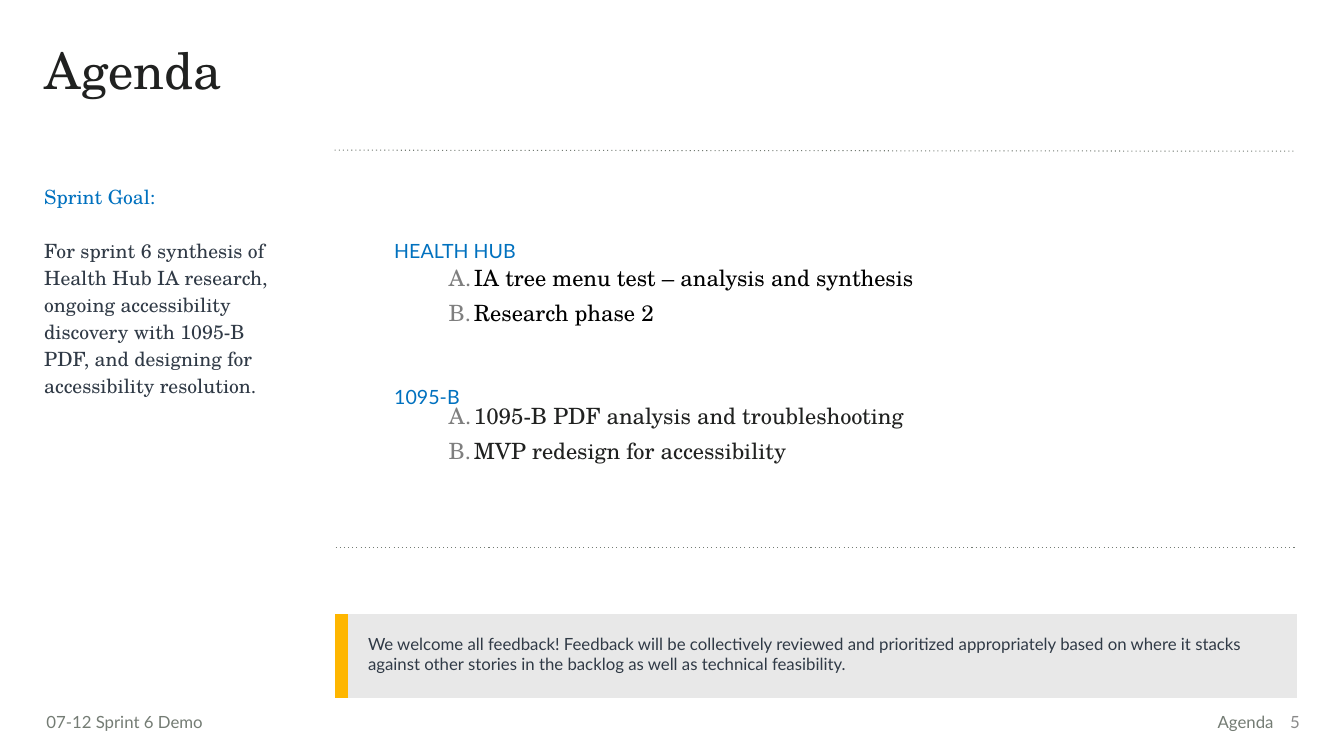
import pptx
import pptx.dml.color
import pptx.enum.shapes
import pptx.enum.text
import pptx.oxml.ns
import pptx.util
from lxml import etree

Inches, Pt = pptx.util.Inches, pptx.util.Pt
RGB = pptx.dml.color.RGBColor.from_string
ALIGN = pptx.enum.text.PP_ALIGN
ANCHOR = pptx.enum.text.MSO_ANCHOR
qn = pptx.oxml.ns.qn

SERIF, SANS = "TeX Gyre Schola", "Lato"
COLORS = {
    "ink": "202120", "black": "000000", "slate": "303A46", "blue": "0071BF",
    "gray": "747C74", "number": "8A8A8A", "bullet": "7F7F7F",
    "amber": "FEB600", "panel": "E8E8E8",
}
NO_GRID_STYLE = "{2D5ABB26-0587-4C30-8999-92F81FD0307C}"
INSETS = (0.1, 0.05, 0.1, 0.05)


def format_frame(tf, insets=INSETS, anchor=ANCHOR.TOP):
    left, top, right, bottom = map(Inches, insets)
    values = {
        "word_wrap": True, "auto_size": pptx.enum.text.MSO_AUTO_SIZE.NONE,
        "vertical_anchor": anchor, "margin_left": left, "margin_top": top,
        "margin_right": right, "margin_bottom": bottom,
    }
    for name, value in values.items():
        setattr(tf, name, value)


def write(p, text, font, size, color, **paragraph):
    for name, value in paragraph.items():
        setattr(p, name, value)
    r = p.add_run()
    r.text = text
    for name, value in {"name": font, "size": Pt(size)}.items():
        setattr(r.font, name, value)
    r.font.color.rgb = RGB(COLORS[color])


def add_box(slide, box, insets=INSETS, anchor=ANCHOR.TOP):
    tf = slide.shapes.add_textbox(*map(Inches, box)).text_frame
    format_frame(tf, insets, anchor)
    return tf


def add_title(slide, box, text):
    sp = slide.shapes.title
    sp.left, sp.top, sp.width, sp.height = map(Inches, box)
    format_frame(sp.text_frame)
    write(sp.text_frame.paragraphs[0], text, SERIF, 36, "ink",
          alignment=ALIGN.LEFT, line_spacing=0.9)


def add_goal(slide, box, heading, goal):
    tf = add_box(slide, box)
    write(tf.paragraphs[0], heading, SERIF, 14, "blue", line_spacing=1.15)
    write(tf.add_paragraph(), goal, SERIF, 14, "slate",
          line_spacing=1.15, space_before=Pt(19.3))


def add_rule(slide, x1, y1, x2, y2):
    line = slide.shapes.add_connector(
        pptx.enum.shapes.MSO_CONNECTOR.STRAIGHT, *map(Inches, (x1, y1, x2, y2)))
    line.line.color.rgb = RGB(COLORS["gray"])
    line.line.width = Pt(0.75)
    spPr = line._element.spPr
    etree.SubElement(spPr.find(qn("a:ln")), qn("a:prstDash"), val="dot")
    etree.SubElement(spPr, qn("a:effectLst"))


def number_paragraph(p):
    pPr = p._p.get_or_add_pPr()
    pPr.set("marL", str(Inches(0.25)))
    pPr.set("indent", str(-Inches(0.25)))
    color = etree.SubElement(pPr, qn("a:buClr"))
    etree.SubElement(color, qn("a:srgbClr"), val=COLORS["bullet"])
    etree.SubElement(pPr, qn("a:buFont"), typeface=SERIF)
    etree.SubElement(pPr, qn("a:buAutoNum"), type="alphaUcPeriod")


def add_topic(slide, box, list_top, heading, items, color):
    left, top, width, height = box
    tf = add_box(slide, box, (0, 0.05, 0, 0.05))
    write(tf.paragraphs[0], heading, SANS, 14, "blue")
    # Lettered items, indented under the heading
    tf = add_box(slide, (left + 0.54, list_top, 6.8, 0.62), (0, 0, 0, 0))
    for i, item in enumerate(items):
        p = tf.add_paragraph() if i else tf.paragraphs[0]
        number_paragraph(p)
        write(p, item, SERIF, 16, color, level=3, space_before=Pt(6 if i else 0))


def add_callout(slide, box, text):
    left, top, width, height = box
    frame = slide.shapes.add_table(1, 2, *map(Inches, box))
    table = frame.table
    table.first_row = table.horz_banding = False
    table._tbl.tblPr.find(qn("a:tableStyleId")).text = NO_GRID_STYLE
    bar = 0.13
    columns = [(bar, "amber", 0), (width - bar, "panel", 0.2)]
    for i, (column_width, color, margin) in enumerate(columns):
        table.columns[i].width = Inches(column_width)
        cell = table.cell(0, i)
        cell.fill.solid()
        cell.fill.fore_color.rgb = RGB(COLORS[color])
        for side in ("left", "top", "right", "bottom"):
            setattr(cell, "margin_" + side, Inches(margin))
    write(cell.text_frame.paragraphs[0], text, SANS, 12, "slate")


def add_footer(slide, top):
    tf = add_box(slide, (0.46, top, 2.98, 0.3), (0, 0.05, 0.1, 0.05))
    write(tf.paragraphs[0], "07-12 Sprint 6 Demo", SANS, 12, "gray")
    tf = add_box(slide, (9.75, top, 2.98, 0.3))
    write(tf.paragraphs[0], "Agenda", SANS, 12, "gray", alignment=ALIGN.RIGHT)
    tf = add_box(slide, (12.55, top - 0.05, 0.44, 0.4), anchor=ANCHOR.MIDDLE)
    write(tf.paragraphs[0], "5", SANS, 12, "number", alignment=ALIGN.RIGHT)


def main():
    prs = pptx.Presentation()
    prs.slide_width, prs.slide_height = Inches(13.33), Inches(7.5)
    slide = prs.slides.add_slide(prs.slide_layouts[5])

    # Title and sprint goal
    add_title(slide, (0.34, 0.41, 7.13, 0.82), "Agenda")
    add_goal(slide, (0.34, 1.75, 2.47, 3.91), "Sprint Goal:",
             "For sprint 6 synthesis of Health Hub IA research, ongoing "
             "accessibility discovery with 1095-B PDF, and designing for "
             "accessibility resolution.")

    # Agenda topics between dotted rules
    add_rule(slide, 3.32, 1.49, 12.83, 1.5)
    add_rule(slide, 3.33, 5.43, 12.84, 5.43)
    add_topic(slide, (3.91, 2.32, 5.28, 0.4), 2.62, "HEALTH HUB",
              ["IA tree menu test – analysis and synthesis",
               "Research phase 2"], "black")
    add_topic(slide, (3.91, 3.77, 5.28, 0.4), 3.99, "1095-B",
              ["1095-B PDF analysis and troubleshooting",
               "MVP redesign for accessibility"], "ink")

    # Feedback callout and footer
    add_callout(slide, (3.32, 6.09, 9.54, 0.83),
                "We welcome all feedback! Feedback will be collectively "
                "reviewed and prioritized appropriately based on where "
                "it stacks against other stories in the backlog as well as "
                "technical feasibility.")
    add_footer(slide, 7.01)
    prs.save("out.pptx")


if __name__ == "__main__":
    main()
